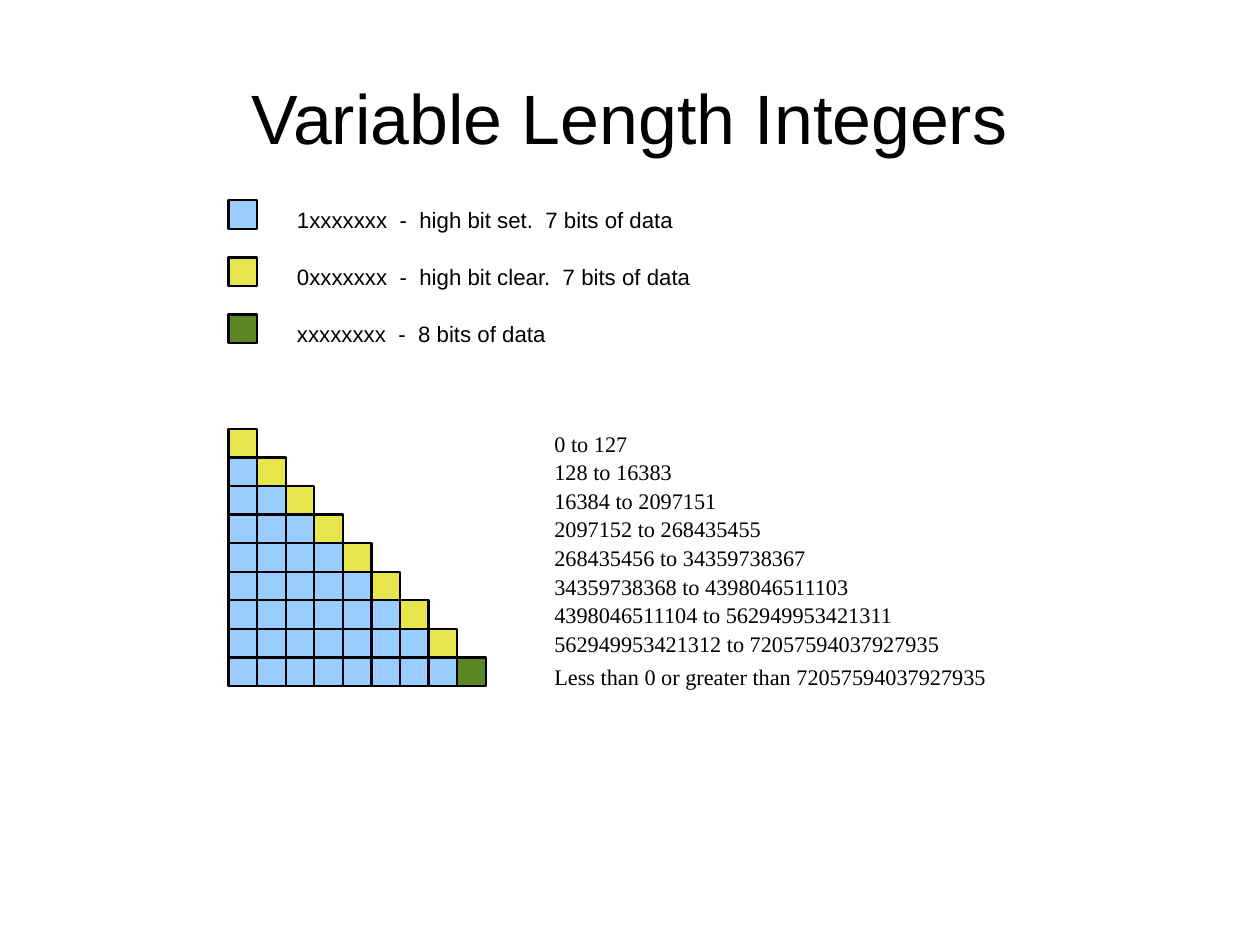
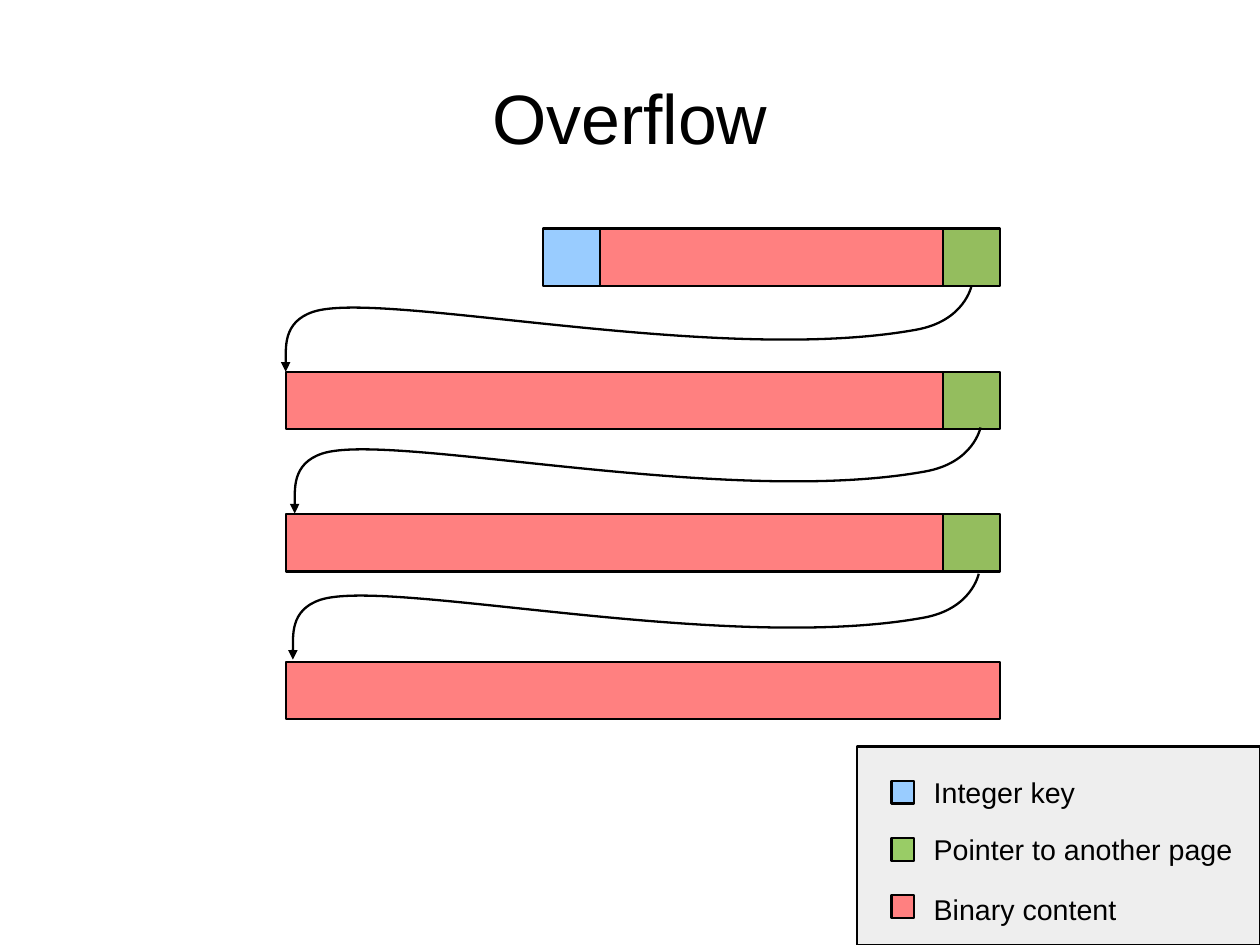
from lxml import etree
from pptx import Presentation
from pptx.dml.color import RGBColor
from pptx.enum.shapes import MSO_SHAPE
from pptx.enum.text import MSO_ANCHOR, PP_ALIGN
from pptx.oxml.ns import qn
from pptx.util import Cm, Pt

RECTANGLE = MSO_SHAPE.RECTANGLE
LEFT, CENTER = PP_ALIGN.LEFT, PP_ALIGN.CENTER
TOP, MIDDLE = MSO_ANCHOR.TOP, MSO_ANCHOR.MIDDLE
SANS, SERIF = "Arial", "Times New Roman"
LINE_WIDTH = Pt(1.45)
COLORS = {
    "ink": "000000",
    "blue": "99CCFF",
    "yellow": "E6E64C",
    "dark green": "5C8526",
    "green": "94BD5E",
    "light green": "99CC66",
    "red": "FF8080",
    "gray": "EEEEEE",
}


def add_box(page, left, top, width, height, color):
    """Add a filled rectangle with the thin black outline."""
    box = page.shapes.add_shape(RECTANGLE, left, top, width, height)
    box.shadow.inherit = False
    box.fill.solid()
    box.fill.fore_color.rgb = RGBColor.from_string(COLORS[color])
    box.line.color.rgb = RGBColor.from_string(COLORS["ink"])
    box.line.width = LINE_WIDTH


def add_text(page, text, left, top, width, height, size, font=SANS, align=LEFT, anchor=TOP):
    frame = page.shapes.add_textbox(left, top, width, height).text_frame
    frame.word_wrap = True
    frame.vertical_anchor = anchor
    para = frame.paragraphs[0]
    para.text = text
    para.alignment = align
    para.font.name = font
    para.font.size = Pt(size)
    para.font.color.rgb = RGBColor.from_string(COLORS["ink"])


deck = Presentation()
deck.slide_width, deck.slide_height = Cm(28), Cm(21)
pages = []
for title in ("Variable Length Integers", "Overflow"):
    page = deck.slides.add_slide(deck.slide_layouts[6])
    add_text(page, title, Cm(1.4), Cm(0.84), Cm(25.2), Cm(3.5), 44, align=CENTER, anchor=MIDDLE)
    pages.append(page)
integers, overflow = pages

# Variable length integers: key to the byte colours
UNIT = Cm(1.27)
CELL = UNIT // 2
GRID_LEFT = Cm(5.08)
byte_kinds = [
    ("blue", "1xxxxxxx  -  high bit set.  7 bits of data"),
    ("yellow", "0xxxxxxx  -  high bit clear.  7 bits of data"),
    ("dark green", "xxxxxxxx  -  8 bits of data"),
]
for index, (color, meaning) in enumerate(byte_kinds):
    top = Cm(4.45) + index * UNIT
    add_box(integers, GRID_LEFT, top, CELL, CELL, color)
    add_text(integers, meaning, Cm(6.35), top, Cm(10), Cm(0.81), 14)

# Staircase of bytes, each row one byte longer, with the range it holds
ranges = [
    "0 to 127",
    "128 to 16383",
    "16384 to 2097151",
    "2097152 to 268435455",
    "268435456 to 34359738367",
    "34359738368 to 4398046511103",
    "4398046511104 to 562949953421311",
    "562949953421312 to 72057594037927935",
    "Less than 0 or greater than 72057594037927935",
]
last_row = len(ranges) - 1
for row, value_range in enumerate(ranges):
    top = Cm(9.53) + row * CELL
    end_color = "dark green" if row == last_row else "yellow"
    for column in range(row + 1):
        color = end_color if column == row else "blue"
        add_box(integers, GRID_LEFT + column * CELL, top, CELL, CELL, color)
    text_top = top if row == last_row else top - Cm(0.1)
    add_text(integers, value_range, Cm(12.07), text_top, Cm(13), Cm(0.91), 14, SERIF)

# Overflow: chain of pages, given as top and (colour, left, right) segments
FULL_LEFT, POINTER_LEFT, RIGHT = 6.35, 20.96, 22.23
pointer = ("green", POINTER_LEFT, RIGHT)
linked_page = [("red", FULL_LEFT, POINTER_LEFT), pointer]
chain = [
    (5.08, [("blue", 12.07, 13.34), ("red", 13.34, POINTER_LEFT), pointer]),
    (8.26, linked_page),
    (11.43, linked_page),
    (14.71, [("red", FULL_LEFT, RIGHT)]),
]
for top, segments in chain:
    for color, left, right in segments:
        add_box(overflow, Cm(left), Cm(top), Cm(right - left), UNIT, color)

# Curved arrows: each curve is two control points and an end point
ARROW_START = (15.24, 0)
ARROW_CURVES = [
    [(15.24, 0), (15.09, 0.79), (14, 0.98)],
    [(9.55, 1.78), (2.13, 0.08), (0.61, 0.58)],
    [(-0.08, 0.81), (0, 1.91), (0, 1.91)],
]
for left, top in [(6.35, 6.35), (6.55, 9.5), (6.51, 12.75)]:
    builder = overflow.shapes.build_freeform(Cm(ARROW_START[0]), Cm(ARROW_START[1]))
    builder.add_line_segments([(Cm(c[-1][0]), Cm(c[-1][1])) for c in ARROW_CURVES], close=False)
    arrow = builder.convert_to_shape(Cm(left), Cm(top))
    arrow.shadow.inherit = False
    arrow.fill.background()
    arrow.line.color.rgb = RGBColor.from_string(COLORS["ink"])
    arrow.line.width = LINE_WIDTH
    segments = list(arrow.element.iter(qn("a:lnTo")))
    for segment, curve in zip(segments, ARROW_CURVES):
        bezier = etree.Element(qn("a:cubicBezTo"))
        for x, y in curve:
            etree.SubElement(bezier, qn("a:pt"), x=str(Cm(x)), y=str(Cm(y)))
        segment.getparent().replace(segment, bezier)
    outline = arrow.element.spPr.find(qn("a:ln"))
    etree.SubElement(outline, qn("a:tailEnd"), type="triangle")

# Legend in the bottom right corner
PANEL_LEFT, PANEL_TOP = Cm(19.05), Cm(16.59)
add_box(overflow, PANEL_LEFT, PANEL_TOP, deck.slide_width - PANEL_LEFT,
        deck.slide_height - PANEL_TOP, "gray")
legend = [
    ("blue", "Integer key", 17.09),
    ("light green", "Pointer to another page", 18.36),
    ("red", "Binary content", 19.69),
]
for index, (color, label, label_top) in enumerate(legend):
    add_box(overflow, Cm(19.81), Cm(17.35) + index * UNIT, Cm(0.51), Cm(0.51), color)
    add_text(overflow, label, Cm(20.5), Cm(label_top), Cm(7.5), Cm(0.97), 18)

deck.save("out.pptx")
